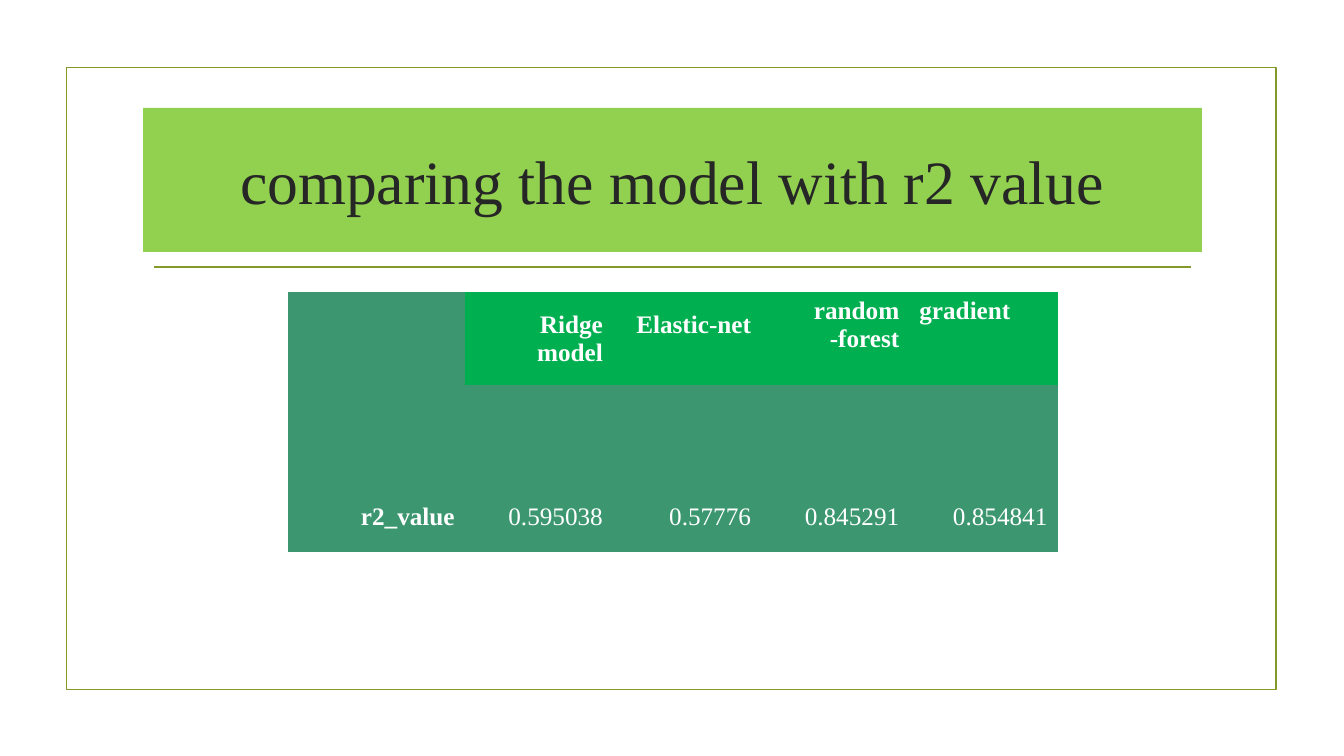
"""Build a slide that compares four models by their r2 value."""
from pptx import Presentation
from pptx.dml.color import RGBColor
from pptx.enum.shapes import MSO_CONNECTOR, MSO_SHAPE
from pptx.enum.text import MSO_ANCHOR, PP_ALIGN
from pptx.oxml import parse_xml
from pptx.oxml.ns import nsdecls, qn
from pptx.util import Inches, Pt

OLIVE = RGBColor(0x83, 0x99, 0x2A)
LIME = RGBColor(0x92, 0xD0, 0x50)
GREEN = RGBColor(0x00, 0xB0, 0x50)
TEAL = RGBColor(0x3C, 0x97, 0x70)
DARK = RGBColor(0x26, 0x26, 0x26)
WHITE = RGBColor(0xFF, 0xFF, 0xFF)
FONT = "Times New Roman"
NO_GRID_STYLE = "{2D5ABB26-0587-4C30-8999-92F81FD0307C}"


def add_run(paragraph, text, size, color, bold=False):
    run = paragraph.add_run()
    run.text = text
    run.font.name = FONT
    run.font.size = Pt(size)
    run.font.bold = bold
    run.font.color.rgb = color


presentation = Presentation()
presentation.slide_width = Inches(13.33)
presentation.slide_height = Inches(7.5)
slide = presentation.slides.add_slide(presentation.slide_layouts[5])

frame = slide.shapes.add_shape(
    MSO_SHAPE.RECTANGLE, Inches(0.66), Inches(0.67), Inches(12), Inches(6.17))
frame.shadow.inherit = False
frame.fill.background()
frame.line.color.rgb = OLIVE
frame.line.width = Pt(1.25)

rule = slide.shapes.add_connector(
    MSO_CONNECTOR.STRAIGHT, Inches(1.53), Inches(2.65), Inches(11.81), Inches(2.65))
rule.line.color.rgb = OLIVE
rule.line.width = Pt(1.25)
rule._element.spPr.append(parse_xml(f"<a:effectLst {nsdecls('a')}/>"))

title = slide.shapes.title
title.left, title.top = Inches(1.42), Inches(1.07)
title.width, title.height = Inches(10.5), Inches(1.43)
title.fill.solid()
title.fill.fore_color.rgb = LIME
title.text_frame.vertical_anchor = MSO_ANCHOR.MIDDLE
heading = title.text_frame.paragraphs[0]
heading.alignment = PP_ALIGN.CENTER
add_run(heading, "comparing the model with r2 value", 44, DARK)

column_widths = [1.75] + [1.47] * 4
row_heights = [0.92, 0.96, 0.7]
rows = [
    ["", "Ridge\nmodel", "Elastic-net", "random -forest", "gradient"],
    [""] * 5,
    ["r2_value", "0.595038", "0.57776", "0.845291", "0.854841"],
]
table_frame = slide.shapes.add_table(
    len(rows), len(column_widths), Inches(2.86), Inches(2.9),
    Inches(sum(column_widths)), Inches(sum(row_heights)))
table = table_frame.table
table._tbl.tblPr.find(qn("a:tableStyleId")).text = NO_GRID_STYLE
table.horz_banding = False

for column, width in zip(table.columns, column_widths):
    column.width = Inches(width)
for row, height in zip(table.rows, row_heights):
    row.height = Inches(height)

for row_index, texts in enumerate(rows):
    for column_index, text in enumerate(texts):
        cell = table.cell(row_index, column_index)
        is_model = row_index == 0 and column_index > 0
        cell.fill.solid()
        cell.fill.fore_color.rgb = GREEN if is_model else TEAL
        cell.vertical_anchor = MSO_ANCHOR.MIDDLE
        for line_index, line in enumerate(text.split("\n") if text else []):
            text_frame = cell.text_frame
            paragraph = text_frame.add_paragraph() if line_index else text_frame.paragraphs[0]
            paragraph.alignment = PP_ALIGN.RIGHT
            add_run(paragraph, line, 18, WHITE, is_model or column_index == 0)

elastic_net, random_forest, gradient = [table.cell(0, index) for index in (2, 3, 4)]
elastic_net.margin_bottom = Inches(0.33)
random_forest.vertical_anchor = MSO_ANCHOR.TOP
gradient.vertical_anchor = MSO_ANCHOR.TOP
gradient.text_frame.paragraphs[0].alignment = PP_ALIGN.LEFT

presentation.save("out.pptx")
